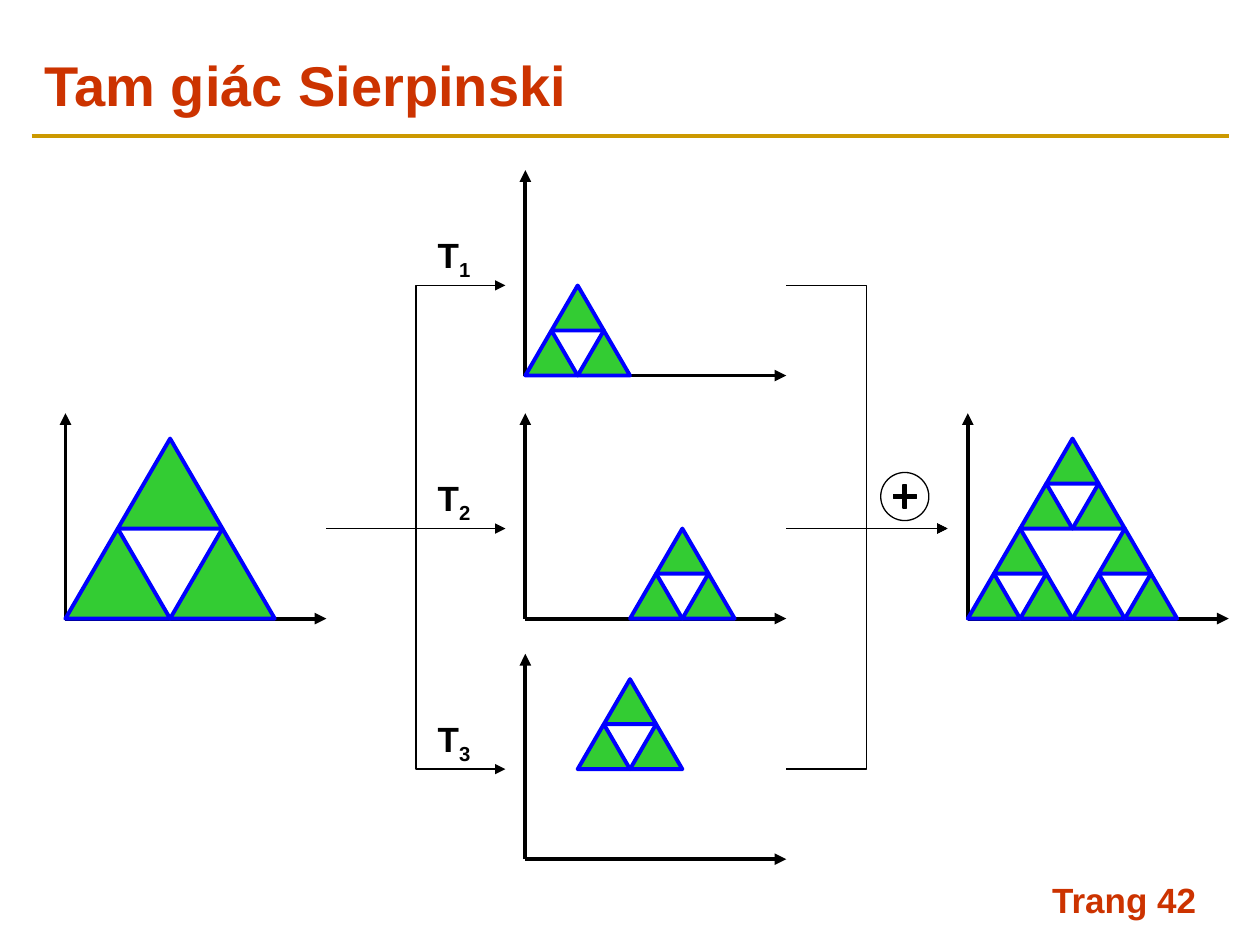
from lxml.etree import SubElement as Sub
from pptx import Presentation
from pptx.dml.color import RGBColor as Rgb
from pptx.enum.shapes import MSO_CONNECTOR as Link, MSO_SHAPE as Kind
from pptx.enum.text import MSO_ANCHOR as Anchor, MSO_AUTO_SIZE as Auto, PP_ALIGN as Align
from pptx.oxml.ns import qn
from pptx.util import Cm, Pt

THEME = {
    "red": "CC3300", "gold": "CC9900", "black": "000000",
    "green": "33CC33", "blue": "0000FF",
    "font": "Arial", "big": 32, "text": 20, "thick": 2.25, "thin": 0.75,
}

TITLE = "Tam giác Sierpinski"
PAGE = "Trang 42"
LABELS = ["1", "2", "3"]
MAPS = [(0, 0), (1, 0), (0.5, 1)]
ROWS = [7.57, 12.47, 17.32]
LEFT, MID, RIGHT = 1.32, 10.59, 19.51
BASE = ROWS[1]
SIDE, RATIO = 4.22, 0.86
HALF = SIDE / 2
RISE = HALF * RATIO
AXIS_W, AXIS_H = 5.26, 4.14
FAN_END, JOIN_END = 10.19, 19.1

deck = Presentation()
deck.slide_width, deck.slide_height = Cm(25.4), Cm(19.05)
slide = deck.slides.add_slide(deck.slide_layouts[5])
shapes = slide.shapes


def tint(name):
    return Rgb.from_string(THEME[name])


def put(item, form):
    for key, val in form.items():
        setattr(item, key, val)


def stroke(shape, color, width):
    shape.line.color.rgb = tint(color)
    shape.line.width = Pt(THEME[width])


def paint(shape, fill, color, width):
    shape.shadow.inherit = False
    if fill:
        shape.fill.solid()
        shape.fill.fore_color.rgb = tint(fill)
    else:
        shape.fill.background()
    stroke(shape, color, width)


def wire(start, end, color="black", width="thin", kind=Link.STRAIGHT, head=True):
    line = shapes.add_connector(kind, *(Cm(v) for v in (*start, *end)))
    stroke(line, color, width)
    if head:
        Sub(line.line._get_or_add_ln(), qn("a:tailEnd"), type="triangle")
    Sub(line._element.spPr, qn("a:effectLst"))


def write(par, text, size, color):
    run = par.add_run()
    run.text = text
    put(run.font, {"name": THEME["font"], "size": Pt(THEME[size]), "bold": True})
    run.font.color.rgb = tint(color)
    return run


def axes(x, y):
    wire((x, y), (x + AXIS_W, y), width="thick")
    wire((x, y), (x, y - AXIS_H), width="thick")


def fractal(x, y, side, depth):
    if depth:
        half = side / 2
        for right, up in MAPS:
            fractal(x + right * half, y - up * half * RATIO, half, depth - 1)
        return
    pen = shapes.build_freeform(Cm(x), Cm(y))
    pen.add_line_segments([(Cm(x + side / 2), Cm(y - side * RATIO)), (Cm(x + side), Cm(y))])
    tri = pen.convert_to_shape()
    paint(tri, "green", "blue", "thick")
    Sub(tri.line._get_or_add_ln(), qn("a:round"))


def label(x, y, sub):
    box = shapes.add_textbox(Cm(x), Cm(y), Cm(0.69), Cm(0.84))
    frame = box.text_frame
    put(frame, {"margin_left": 0, "margin_right": 0, "margin_top": 0, "margin_bottom": 0,
                "word_wrap": False, "auto_size": Auto.SHAPE_TO_FIT_TEXT})
    par = frame.paragraphs[0]
    par.alignment = Align.CENTER
    write(par, "T", "text", "black")
    low = write(par, sub, "text", "black")
    low._r.get_or_add_rPr().set("baseline", "-25000")


def main():
    head = shapes.title
    put(head, {"left": Cm(0.64), "top": Cm(0.84), "width": Cm(24.13), "height": Cm(1.7)})
    put(head.text_frame, {"vertical_anchor": Anchor.MIDDLE, "word_wrap": True})
    par = head.text_frame.paragraphs[0]
    par.alignment = Align.LEFT
    write(par, TITLE, "big", "red")
    wire((0.64, 2.74), (24.77, 2.74), "gold", "thick", head=False)

    foot = shapes.add_textbox(Cm(20.96), Cm(17.58), Cm(3.81), Cm(1.27))
    foot.text_frame.word_wrap = True
    write(foot.text_frame.paragraphs[0], PAGE, "text", "red")

    for x, y in [(MID, row) for row in ROWS] + [(LEFT, BASE), (RIGHT, BASE)]:
        axes(x, y)
    fractal(LEFT, BASE, SIDE, 1)

    level = BASE - RISE
    for row, sub, (right, up) in zip(ROWS, LABELS, MAPS):
        y = row - RISE
        kind = Link.STRAIGHT if row == BASE else Link.ELBOW
        wire((LEFT + AXIS_W, level), (FAN_END, y), kind=kind)
        wire((MID + AXIS_W, y), (JOIN_END, level), kind=kind)
        label(8.81, y - 1.04, sub)
        fractal(MID + right * HALF, row - up * RISE, HALF, 1)

    for kind, size, fill in [(Kind.OVAL, 0.97, None), (Kind.CROSS, 0.46, "black")]:
        mark = shapes.add_shape(kind, Cm(18.24 - size / 2), Cm(10.01 - size / 2), Cm(size), Cm(size))
        paint(mark, fill, "black", "thin")
        if fill:
            mark.adjustments[0] = 0.42

    fractal(RIGHT, BASE, SIDE, 2)
    deck.save("out.pptx")


if __name__ == "__main__":
    main()
